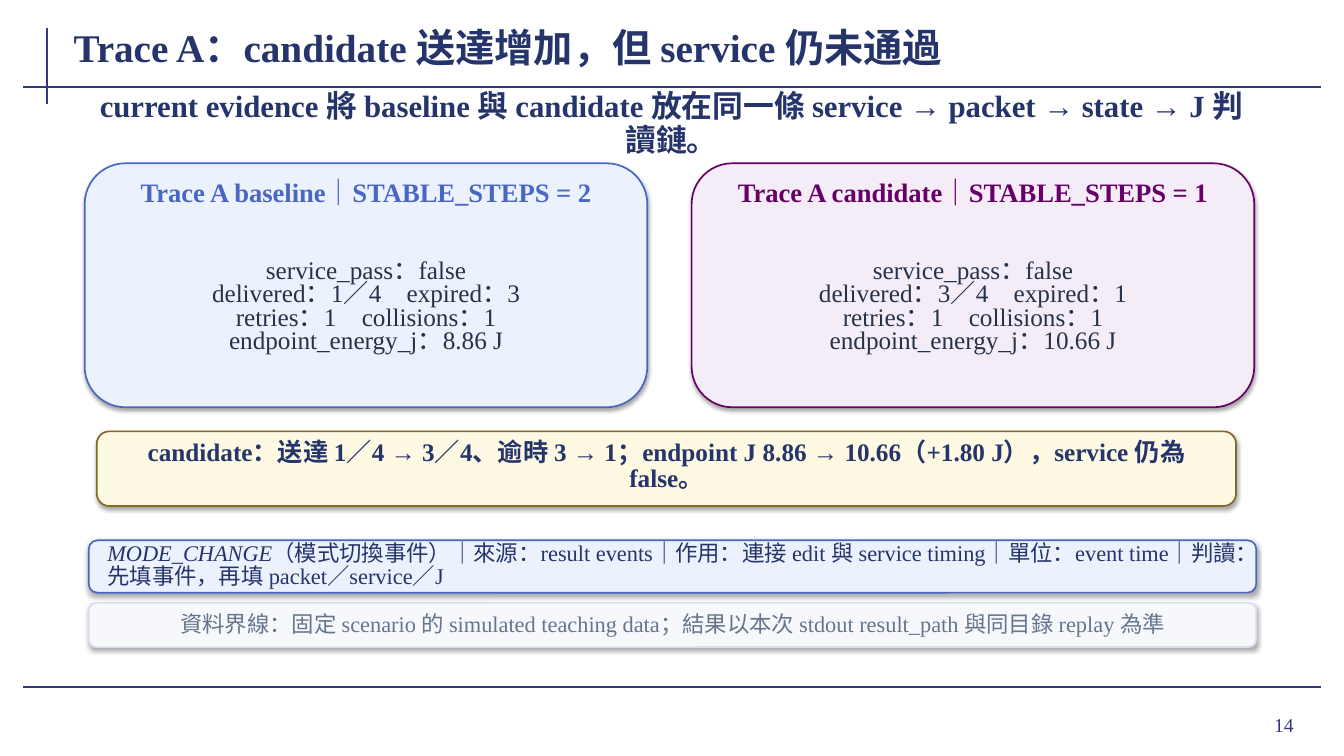
from lxml.etree import SubElement
from pptx import Presentation
from pptx.dml.color import RGBColor
from pptx.enum.shapes import MSO_CONNECTOR, MSO_SHAPE
from pptx.enum.text import MSO_ANCHOR, MSO_AUTO_SIZE, PP_ALIGN
from pptx.oxml.ns import qn
from pptx.util import Inches, Pt

FONT = "Times New Roman"
COLORS = {
    "rule": "35377F", "navy": "25356B", "body": "25324A", "white": "FFFFFF",
    "blue": "4967C2", "blue_fill": "ECF1FE",
    "purple": "660066", "purple_fill": "F4EDF7",
    "gold": "846826", "gold_fill": "FDF9E2",
    "gray": "65758B", "gray_line": "D7DEEA", "gray_fill": "F7F8FC",
}
TITLE = "Trace A：candidate 送達增加，但 service 仍未通過"
SUBTITLE = "current evidence 將 baseline 與 candidate 放在同一條 service → packet → state → J 判讀鏈。"
PANELS = [
    ("Trace A baseline｜STABLE_STEPS = 2", "blue", [
        "service_pass：false", "delivered：1／4　expired：3",
        "retries：1　collisions：1", "endpoint_energy_j：8.86 J"]),
    ("Trace A candidate｜STABLE_STEPS = 1", "purple", [
        "service_pass：false", "delivered：3／4　expired：1",
        "retries：1　collisions：1", "endpoint_energy_j：10.66 J"]),
]
SUMMARY = ("candidate：送達 1／4 → 3／4、逾時 3 → 1；"
           "endpoint J 8.86 → 10.66（+1.80 J），service 仍為 false。")
EVENT_TERM = "MODE_CHANGE"
EVENT_NOTE = ("（模式切換事件）｜來源：result events｜作用：連接 edit 與 service timing"
              "｜單位：event time｜判讀：先填事件，再填 packet／service／J")
DATA_NOTE = ("資料界線：固定 scenario 的 simulated teaching data；"
             "結果以本次 stdout result_path 與同目錄 replay 為準")
PAGE_NUMBER = "14"
RULES = [(0.47, 0.28, 0.47, 1.03), (0.23, 0.86, 13.1, 0.86), (0.23, 6.82, 13.1, 6.82)]
PANEL_LEFT, PANEL_STEP = 0.84, 6.02


def color(name):
    return RGBColor.from_string(COLORS[name])


def write(shape, lines, size, ink, bold=False, align=PP_ALIGN.CENTER,
          spacing=None, inset=(0.02, 0), fit=MSO_AUTO_SIZE.NONE):
    frame = shape.text_frame
    frame.word_wrap = True
    frame.auto_size = fit
    frame.vertical_anchor = MSO_ANCHOR.MIDDLE
    frame.margin_left = frame.margin_right = Inches(inset[0])
    frame.margin_top = frame.margin_bottom = Inches(inset[1])
    frame.text = "\n".join(lines)
    for para in frame.paragraphs:
        para.alignment = align
        para.line_spacing = spacing
        para.font.name = FONT
        para.font.size = Pt(size)
        para.font.bold = bold
        para.font.color.rgb = color(ink)


def add_text(page, area, lines, size, ink, **style):
    box = page.shapes.add_textbox(*map(Inches, area))
    write(box, lines, size, ink, **style)
    return box


def add_card(page, area, fill, outline):
    card = page.shapes.add_shape(MSO_SHAPE.ROUNDED_RECTANGLE, *map(Inches, area))
    card.fill.solid()
    card.fill.fore_color.rgb = color(fill)
    card.line.color.rgb = color(outline)
    card.line.width = Pt(1.2)
    card.shadow.inherit = False
    effects = card._element.spPr.find(qn("a:effectLst"))
    shadow = SubElement(effects, qn("a:outerShdw"), blurRad=str(Pt(3.1)),
                        dist=str(Pt(1.8)), dir="5400000", rotWithShape="0")
    black = SubElement(shadow, qn("a:srgbClr"), val="000000")
    SubElement(black, qn("a:alpha"), val="35000")
    return card


def add_rule(page, ends):
    rule = page.shapes.add_connector(MSO_CONNECTOR.STRAIGHT, *map(Inches, ends))
    rule.line.color.rgb = color("rule")
    rule.line.width = Pt(1.5)
    SubElement(rule._element.spPr, qn("a:effectLst"))


def add_panel(page, left, heading, accent, facts):
    grow = MSO_AUTO_SIZE.SHAPE_TO_FIT_TEXT
    add_card(page, (left, 1.62, 5.58, 2.42), accent + "_fill", accent)
    add_text(page, (left + 0.16, 1.74, 5.26, 0.36), [heading], 19, accent,
             bold=True, spacing=0.92, fit=grow)
    add_text(page, (left + 0.18, 2.18, 5.22, 1.74), facts, 18, "body",
             spacing=0.78, inset=(0.03, 0.02), fit=grow)


def main():
    deck = Presentation()
    deck.slide_width, deck.slide_height = Inches(13.33), Inches(7.5)
    page = deck.slides.add_slide(deck.slide_layouts[5])
    page.background.fill.solid()
    page.background.fill.fore_color.rgb = color("white")

    for ends in RULES:
        add_rule(page, ends)
    add_text(page, (11.96, 6.93, 0.97, 0.52), [PAGE_NUMBER], 14, "rule",
             align=PP_ALIGN.RIGHT, inset=(0.1, 0.05))

    title = page.shapes.title
    title.left, title.top, title.width, title.height = map(Inches, (0.72, 0.2, 10.35, 0.53))
    write(title, [TITLE], 28, "navy", bold=True, align=PP_ALIGN.LEFT, inset=(0.01, 0))

    grow = MSO_AUTO_SIZE.SHAPE_TO_FIT_TEXT
    add_text(page, (0.92, 1.02, 11.48, 0.42), [SUBTITLE], 22, "navy",
             bold=True, spacing=0.94, fit=grow)
    for index, panel in enumerate(PANELS):
        add_panel(page, PANEL_LEFT + index * PANEL_STEP, *panel)

    add_card(page, (0.96, 4.28, 11.3, 0.74), "gold_fill", "gold")
    add_text(page, (1.16, 4.44, 10.9, 0.38), [SUMMARY], 18, "navy",
             bold=True, spacing=0.86, fit=grow)

    event = add_card(page, (0.88, 5.36, 11.58, 0.52), "blue_fill", "blue")
    write(event, [EVENT_TERM], 16, "navy", align=PP_ALIGN.LEFT,
          spacing=0.86, inset=(0.16, 0.01))
    para = event.text_frame.paragraphs[0]
    para.runs[0].font.italic = True
    para.add_run().text = EVENT_NOTE

    note = add_card(page, (0.88, 5.98, 11.58, 0.44), "gray_fill", "gray_line")
    write(note, [DATA_NOTE], 16, "gray", spacing=0.9, inset=(0.03, 0.01))

    deck.save("out.pptx")


if __name__ == "__main__":
    main()
